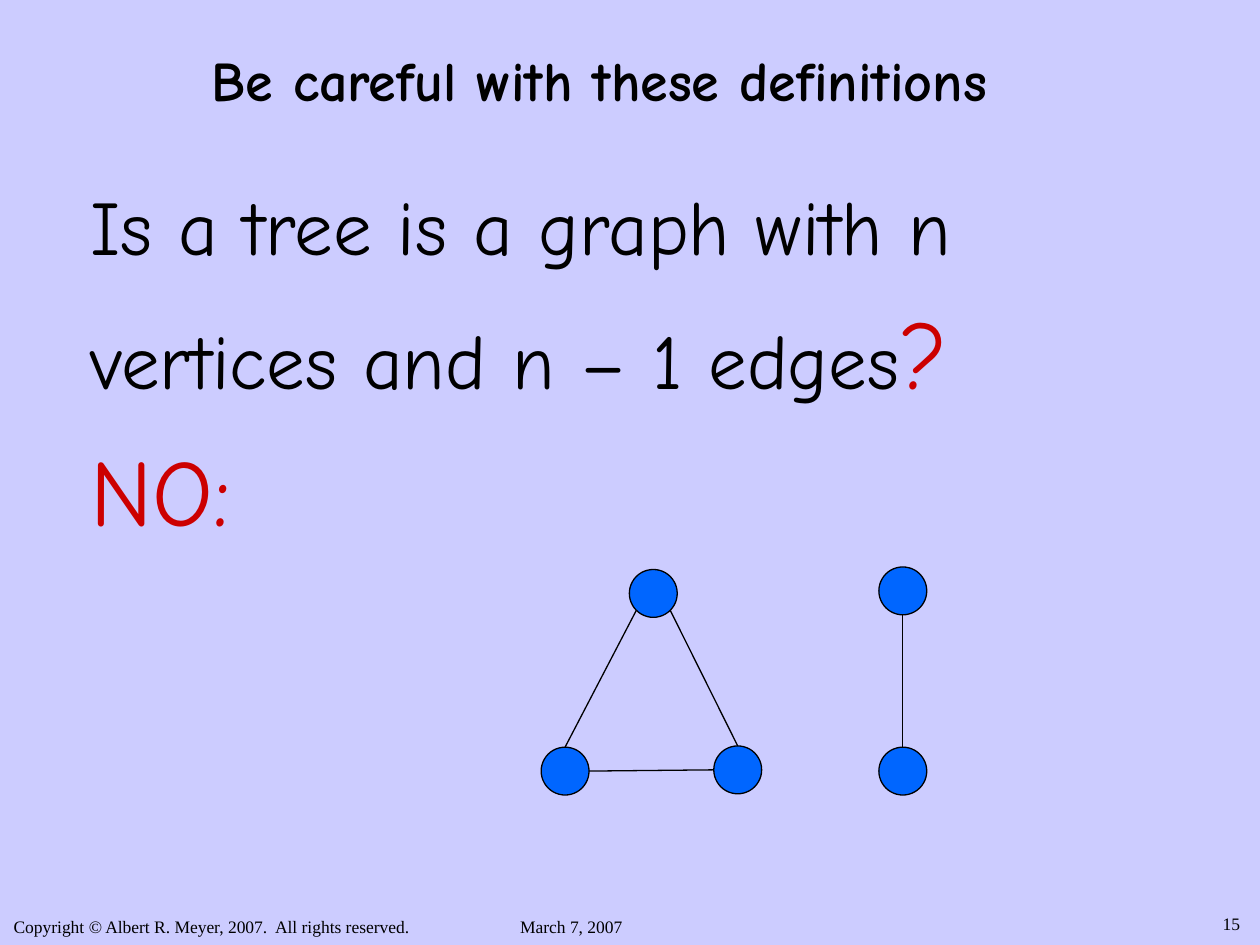
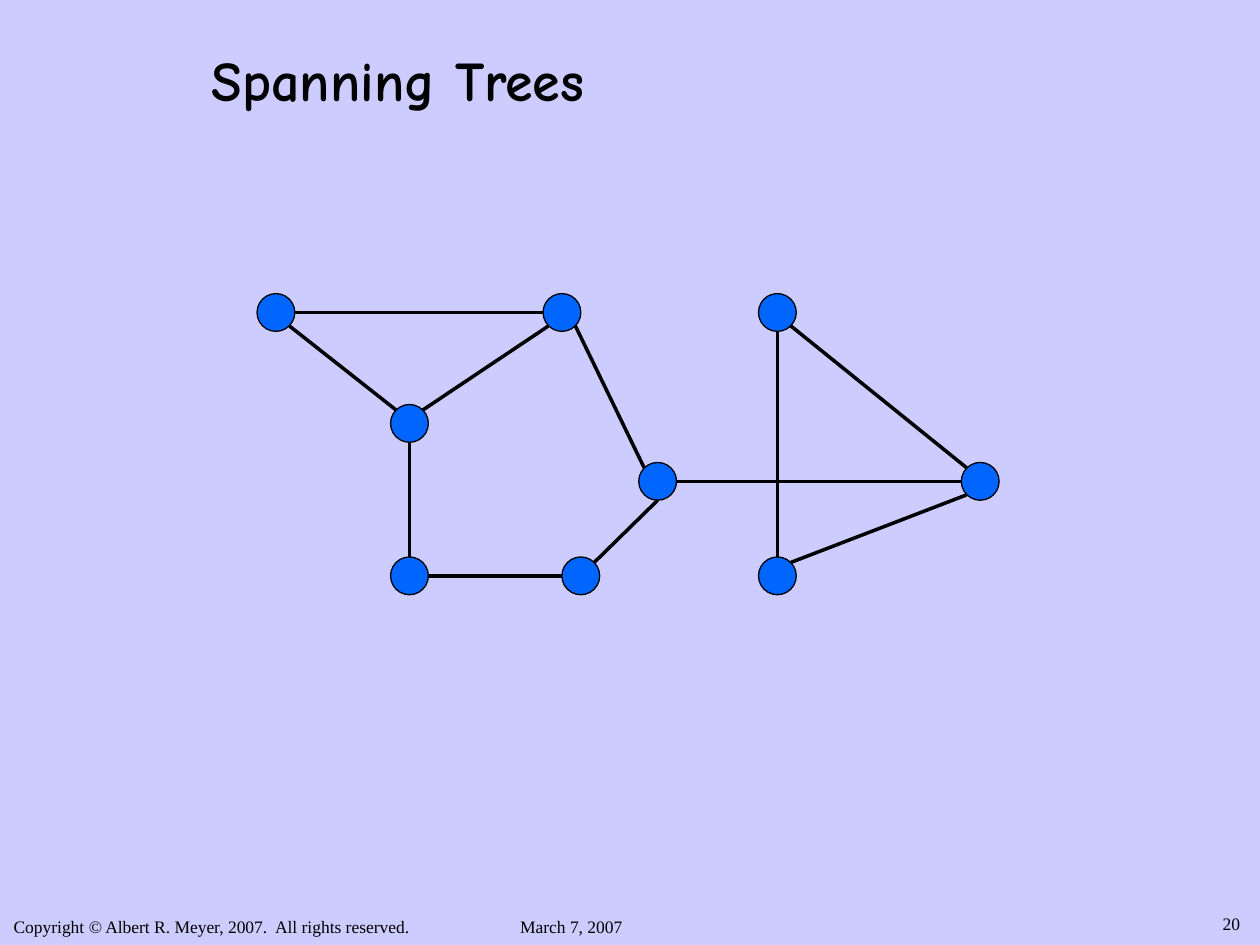
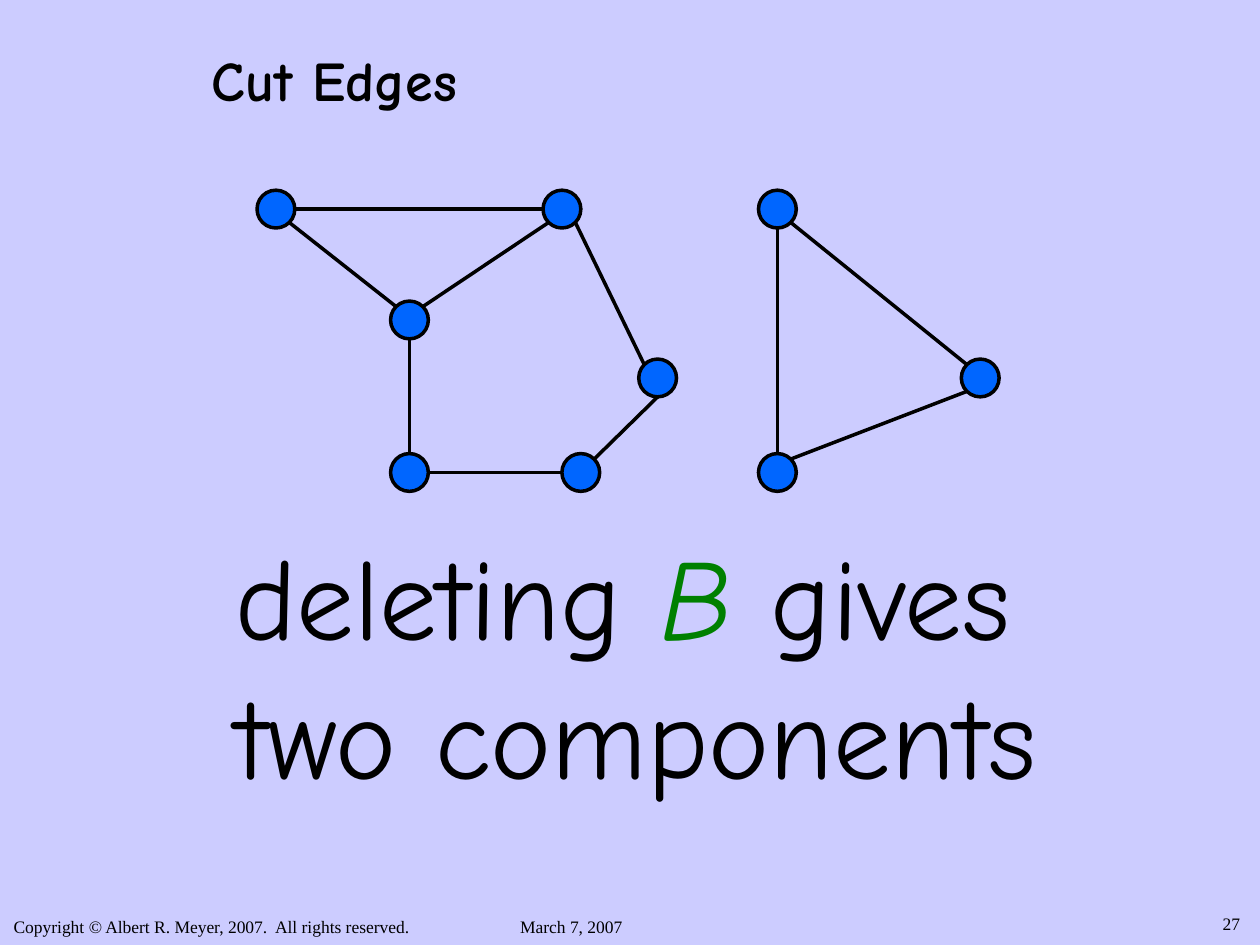
from lxml import etree
from pptx import Presentation
from pptx.dml.color import RGBColor
from pptx.enum.shapes import MSO_CONNECTOR, MSO_SHAPE
from pptx.enum.text import MSO_ANCHOR, PP_ALIGN
from pptx.oxml.ns import qn
from pptx.util import Inches, Pt

STRAIGHT = MSO_CONNECTOR.STRAIGHT
ELLIPSE = MSO_SHAPE.OVAL
MIDDLE, TOP = MSO_ANCHOR.MIDDLE, MSO_ANCHOR.TOP
LEFT, RIGHT = PP_ALIGN.LEFT, PP_ALIGN.RIGHT

LAVENDER = RGBColor(0xCC, 0xCC, 0xFF)
BLACK = RGBColor(0, 0, 0)
BLUE = RGBColor(0, 0x66, 0xFF)
RED = RGBColor(0xCC, 0, 0)
GREEN = RGBColor(0, 0x80, 0)

HAND, SERIF = "Comic Neue", "Times New Roman"
WIDTH, HEIGHT = Inches(10), Inches(7.5)

# Boxes are left, top, width, height in percent of the slide
TITLE_BOX = (15.8, 0, 82.5, 16.67)
BODY_BOX = (6.2, 18.27, 85, 41.47)
CAPTION_BOX = (17.7, 54.93, 65.7, 30.67)
COPYRIGHT_BOX = (0.1, 96.27, 33.6, 3.6)
DATE_BOX = (40.3, 96.27, 10.1, 3.6)
NUMBER_BOX = (83.2, 96, 16.2, 3.6)

# Directions from a vertex's centre to the point where an edge meets it
DIAGONAL = 0.71
SIDES = {
    "N": (0, -1), "S": (0, 1), "W": (-1, 0), "E": (1, 0),
    "NE": (DIAGONAL, -DIAGONAL), "NW": (-DIAGONAL, -DIAGONAL),
    "SE": (DIAGONAL, DIAGONAL), "SW": (-DIAGONAL, DIAGONAL),
}

# Vertex centres are in percent of the graph's box;
# edges are start vertex, its side, end vertex, its side
TRIANGLE_AND_PAIR = {
    "right": (51.12, 99.3), "apex": (26.12, 1.4), "left": (0, 100),
    "low": (100, 100), "high": (100, 0),
}
TRIANGLE_AND_PAIR_EDGES = [
    ("apex", "SW", "left", "N"), ("apex", "SE", "right", "N"),
    ("high", "S", "low", "N"), ("left", "E", "right", "W"),
]
NETWORK = {
    "a": (0, 0), "b": (18.96, 42.11), "c": (40.61, 0), "d": (18.96, 100),
    "e": (54.2, 64.11), "f": (43.29, 100),
    "g": (71.2, 0), "h": (71.2, 100), "i": (100, 64.11),
}
COMPONENT_EDGES = [
    ("a", "SE", "b", "NW"), ("b", "NE", "c", "SW"), ("c", "W", "a", "E"),
    ("b", "S", "d", "N"), ("d", "E", "f", "W"), ("f", "NE", "e", "S"),
    ("c", "SE", "e", "NW"), ("i", "SW", "h", "NE"), ("g", "SE", "i", "NW"),
    ("g", "S", "h", "N"),
]
BRIDGE = ("e", "E", "i", "W")


def to_emu(box):
    x, y, w, h = box
    return [round(share * size / 100)
            for share, size in ((x, WIDTH), (y, HEIGHT), (w, WIDTH), (h, HEIGHT))]


def add_text(slide, box, paragraphs, size, font=HAND, bold=False, wrap=True,
             anchor=TOP, align=LEFT, gap=0):
    """Each paragraph is a list of (text, overrides) runs."""
    tf = slide.shapes.add_textbox(*to_emu(box)).text_frame
    tf.word_wrap, tf.vertical_anchor = wrap, anchor
    for i, runs in enumerate(paragraphs):
        p = tf.paragraphs[0] if i == 0 else tf.add_paragraph()
        p.alignment = align
        if i and gap:
            p.space_before = Pt(gap)
        for text, style in runs:
            r = p.add_run()
            r.text = text
            r.font.name, r.font.bold = font, bold
            r.font.size = Pt(style.get("size", size))
            r.font.italic = style.get("italic", False)
            r.font.color.rgb = style.get("color", BLACK)


def add_vertex(slide, centre, diameter, outline):
    x, y = centre
    sp = slide.shapes.add_shape(ELLIPSE, round(x - diameter / 2),
                                round(y - diameter / 2), diameter, diameter)
    sp.shadow.inherit = False
    sp.fill.solid()
    sp.fill.fore_color.rgb = BLUE
    sp.line.color.rgb = BLACK
    sp.line.width = Pt(outline)


def add_edge(slide, start, end, weight):
    line = slide.shapes.add_connector(STRAIGHT, *start, *end)
    line.line.color.rgb = BLACK
    line.line.width = Pt(weight)
    etree.SubElement(line._element.spPr, qn("a:effectLst"))


def add_graph(slide, box, vertices, edges, diameter, outline, weight):
    left, top, width, height = to_emu(box)
    centres = {name: (left + width * x / 100, top + height * y / 100)
               for name, (x, y) in vertices.items()}

    def rim(name, side):
        return [round(c + d * diameter / 2)
                for c, d in zip(centres[name], SIDES[side])]

    for centre in centres.values():
        add_vertex(slide, centre, diameter, outline)
    for a, a_side, b, b_side in edges:
        add_edge(slide, rim(a, a_side), rim(b, b_side), weight)


def add_base_slide(prs, title, number):
    """Background, footer, title and slide number."""
    slide = prs.slides.add_slide(prs.slide_layouts[6])
    fill = slide.background.fill
    fill.solid()
    fill.fore_color.rgb = LAVENDER
    add_text(slide, DATE_BOX, [[("March 7, 2007", {})]], 10, SERIF, wrap=False)
    add_text(slide, COPYRIGHT_BOX, [[
        ("Copyright ", {}), ("©", {"italic": True}),
        (" Albert R. Meyer, 2007.  All rights reserved.", {}),
    ]], 10, SERIF, wrap=False)
    add_text(slide, TITLE_BOX, [[(title, {})]], 32, bold=True, anchor=MIDDLE)
    add_text(slide, NUMBER_BOX, [[(str(number), {})]], 10, SERIF, align=RIGHT)
    return slide


def add_definitions_slide(prs):
    slide = add_base_slide(prs, "Be careful with these definitions", 15)
    answer = {"size": 54, "color": RED}
    add_text(slide, BODY_BOX, [
        [("Is a tree is a graph with n", {})],
        [("vertices and n – 1 edges", {}), ("?", answer)],
        [("NO:", answer)],
    ], 44, gap=13.5)
    add_graph(slide, (44.85, 62.53, 26.8, 19.07), TRIANGLE_AND_PAIR,
              TRIANGLE_AND_PAIR_EDGES, Inches(0.38), 0.75, 0.75)


def add_network_slide(prs, title, number, top, edges, outline):
    slide = add_base_slide(prs, title, number)
    add_graph(slide, (21.9, top, 55.9, 27.87), NETWORK, edges,
              Inches(0.3), outline, 2)
    return slide


def main():
    prs = Presentation()
    prs.slide_width, prs.slide_height = WIDTH, HEIGHT
    add_definitions_slide(prs)
    add_network_slide(prs, "Spanning Trees", 20, 33.07,
                      COMPONENT_EDGES + [BRIDGE], 0.75)
    slide = add_network_slide(prs, "Cut Edges", 27, 22.13, COMPONENT_EDGES, 2)
    add_text(slide, CAPTION_BOX, [
        [("deleting ", {}), ("B", {"color": GREEN, "italic": True}),
         (" gives", {})],
        [("two components", {})],
    ], 66, wrap=False)
    prs.save("out.pptx")


if __name__ == "__main__":
    main()
